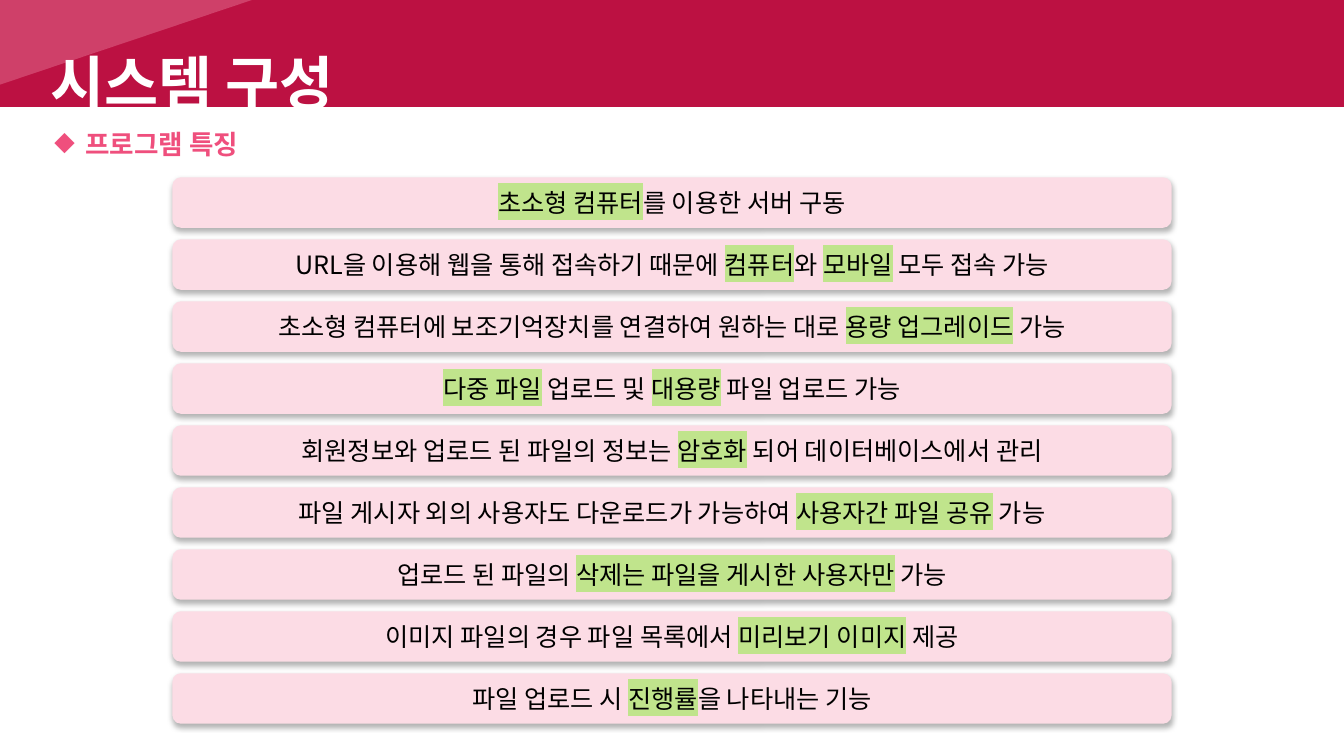
from lxml import etree
from pptx import Presentation
from pptx.dml.color import RGBColor
from pptx.enum.shapes import MSO_SHAPE
from pptx.enum.text import MSO_ANCHOR, MSO_AUTO_SIZE, PP_ALIGN
from pptx.oxml.ns import qn
from pptx.util import Inches, Pt

RECT = MSO_SHAPE.RECTANGLE
ROUND = MSO_SHAPE.ROUNDED_RECTANGLE
MIDDLE = MSO_ANCHOR.MIDDLE
GROW = MSO_AUTO_SIZE.SHAPE_TO_FIT_TEXT
LEFT = PP_ALIGN.LEFT
CENTER = PP_ALIGN.CENTER

FONT = "Noto Sans CJK KR"
COLORS = {
    "band": "BC1142",
    "gleam": "F69CB6",
    "bar": "FCDCE5",
    "mark": "C0E48C",
    "head": "EF4F7D",
    "white": "FFFFFF",
    "black": "000000",
}

# Parts between bars are highlighted.
FEATURES = [
    "|초소형 컴퓨터|를 이용한 서버 구동",
    "URL을 이용해 웹을 통해 접속하기 때문에 |컴퓨터|와 |모바일| 모두 접속 가능",
    "초소형 컴퓨터에 보조기억장치를 연결하여 원하는 대로 |용량 업그레이드| 가능",
    "|다중 파일| 업로드 및 |대용량| 파일 업로드 가능",
    "회원정보와 업로드 된 파일의 정보는 |암호화| 되어 데이터베이스에서 관리",
    "파일 게시자 외의 사용자도 다운로드가 가능하여 |사용자간 파일 공유| 가능",
    "업로드 된 파일의 |삭제는 파일을 게시한 사용자만| 가능",
    "이미지 파일의 경우 파일 목록에서 |미리보기 이미지| 제공",
    "파일 업로드 시 |진행률|을 나타내는 기능",
]
TOP, PITCH = 1.76, 0.615


def add_node(parent, tag, **attrs):
    return etree.SubElement(parent, qn(tag), attrs)


class Deck:
    def __init__(self):
        self.prs = Presentation()
        self.prs.slide_width = Inches(13.33)
        self.prs.slide_height = Inches(7.5)
        self.slide = self.prs.slides.add_slide(self.prs.slide_layouts[6])
        self.shapes = self.slide.shapes

    def paint(self, shape, color):
        """Give a flat fill with no line and no theme shadow."""
        shape.shadow.inherit = False
        shape.fill.solid()
        shape.fill.fore_color.rgb = RGBColor.from_string(COLORS[color])
        shape.line.fill.background()

    def block(self, kind, left, top, width, height, color):
        shape = self.shapes.add_shape(
            kind, Inches(left), Inches(top), Inches(width), Inches(height))
        self.paint(shape, color)
        return shape

    def gleam(self, points, color, alpha):
        """Draw a see-through polygon; alpha is in percent."""
        points = [(Inches(x), Inches(y)) for x, y in points]
        pen = self.shapes.build_freeform(*points[0])
        pen.add_line_segments(points[1:], close=True)
        shape = pen.convert_to_shape()
        self.paint(shape, color)
        tint = shape.fill._xPr.find(".//" + qn("a:srgbClr"))
        add_node(tint, "a:alpha", val=str(alpha * 1000))

    def style(self, run, size, color, bold=False, mark=None):
        font = run.font
        font.size = Pt(size)
        font.bold = bold
        font.name = FONT
        font.color.rgb = RGBColor.from_string(COLORS[color])
        props = run._r.get_or_add_rPr()
        add_node(props, "a:ea", typeface=FONT)
        if mark:
            light = etree.Element(qn("a:highlight"))
            add_node(light, "a:srgbClr", val=COLORS[mark])
            props.find(qn("a:solidFill")).addnext(light)

    def label(self, text, left, top, width, height, size, color, align=LEFT):
        box = self.shapes.add_textbox(
            Inches(left), Inches(top), Inches(width), Inches(height))
        frame = box.text_frame
        frame.word_wrap = True
        frame.auto_size = GROW
        frame.text = text
        para = frame.paragraphs[0]
        para.alignment = align
        self.style(para.runs[0], size, color, bold=True)
        return para

    def bullet(self, para, char, indent):
        props = para._p.get_or_add_pPr()
        props.set("marL", str(Inches(indent)))
        props.set("indent", str(-Inches(indent)))
        add_node(props, "a:buChar", char=char)

    def shade(self, shape):
        """Cast a soft shadow straight down."""
        effects = shape._element.spPr.find(qn("a:effectLst"))
        outer = add_node(effects, "a:outerShdw", blurRad=str(Pt(4)),
                         dist=str(Pt(2)), dir="5400000", rotWithShape="0")
        tint = add_node(outer, "a:srgbClr", val=COLORS["black"])
        add_node(tint, "a:alpha", val="30000")

    def bar(self, text, top):
        shape = self.block(ROUND, 1.71, top, 9.91, 0.5, "bar")
        self.shade(shape)
        frame = shape.text_frame
        frame.word_wrap = True
        frame.vertical_anchor = MIDDLE
        para = frame.paragraphs[0]
        para.alignment = CENTER
        for i, part in enumerate(text.split("|")):
            if part:
                run = para.add_run()
                run.text = part
                self.style(run, 18, "black", mark="mark" if i % 2 else None)


def main():
    deck = Deck()
    band = deck.block(RECT, 0, 0, 13.33, 1.06, "band")
    band.line.color.rgb = RGBColor.from_string(COLORS["band"])
    band.line.width = Pt(1)
    deck.gleam([(0, 0), (2.5, 0), (0, 0.84)], "gleam", 34)
    deck.label("시스템 구성", 0.34, 0.41, 3.13, 0.81, 42, "white", CENTER)
    head = deck.label("프로그램 특징", 0.44, 1.22, 2.33, 0.42, 19, "head")
    deck.bullet(head, "◆", 0.31)
    for i, text in enumerate(FEATURES):
        deck.bar(text, TOP + i * PITCH)
    deck.prs.save("out.pptx")


if __name__ == "__main__":
    main()
